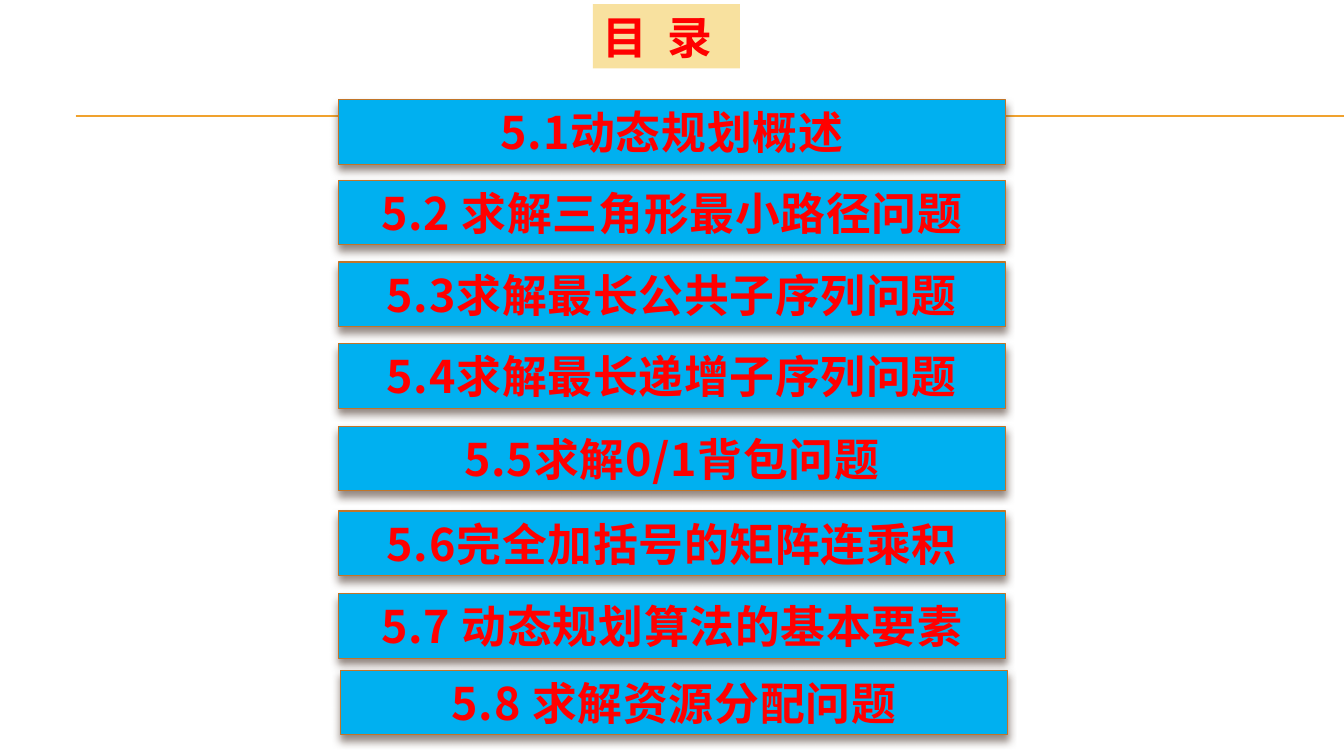
from lxml import etree
from pptx import Presentation
from pptx.dml.color import RGBColor
from pptx.enum.shapes import MSO_CONNECTOR, MSO_SHAPE
from pptx.enum.text import MSO_ANCHOR, PP_ALIGN
from pptx.oxml import parse_xml
from pptx.oxml.ns import nsdecls, qn
from pptx.util import Inches, Pt

STRAIGHT = MSO_CONNECTOR.STRAIGHT
RECTANGLE = MSO_SHAPE.RECTANGLE
MIDDLE = MSO_ANCHOR.MIDDLE
LEFT, CENTER = PP_ALIGN.LEFT, PP_ALIGN.CENTER
CJK_FONT = "Noto Sans CJK SC"
BOX_HEIGHT = 0.64
SHADOW = f"""<a:effectLst {nsdecls("a")}>
  <a:outerShdw blurRad="{Pt(6)}" dist="{Pt(4)}" dir="5400000" rotWithShape="0">
    <a:srgbClr val="4E3B30"><a:alpha val="60000"/></a:srgbClr>
  </a:outerShdw>
</a:effectLst>"""


def color(hex_value):
    return RGBColor.from_string(hex_value)


def add_box(left, top, width, text, fill, font_name, align):
    """Add a filled rectangle holding one line of bold red text."""
    box = slide.shapes.add_shape(
        RECTANGLE, Inches(left), Inches(top), Inches(width), Inches(BOX_HEIGHT))
    box.shadow.inherit = False
    box.fill.solid()
    box.fill.fore_color.rgb = color(fill)
    box.line.fill.background()
    frame = box.text_frame
    frame_format = {"word_wrap": False, "vertical_anchor": MIDDLE,
                    "margin_top": 0, "margin_bottom": 0}
    for name, value in frame_format.items():
        setattr(frame, name, value)
    para = frame.paragraphs[0]
    para.alignment = align
    span = para.add_run()
    span.text = text
    for name, value in {"name": font_name, "size": Pt(32), "bold": True}.items():
        setattr(span.font, name, value)
    span.font.color.rgb = color("FF0000")
    properties = span._r.get_or_add_rPr()
    etree.SubElement(properties, qn("a:ea")).set("typeface", CJK_FONT)
    return box


deck = Presentation()
deck.slide_width, deck.slide_height = Inches(13.33), Inches(7.5)
slide = deck.slides.add_slide(deck.slide_layouts[6])

for y in (1.15, 1.16):
    rule = slide.shapes.add_connector(
        STRAIGHT, Inches(0.75), Inches(y), Inches(13.33), Inches(y))
    rule.line.color.rgb = color("F0A22E")
    rule.line.width = Pt(0.75)
    etree.SubElement(rule._element.spPr, qn("a:effectLst"))

add_box(5.88, 0.04, 1.46, "目  录", "F8E19F", "Calibri", LEFT)

sections = [
    (3.36, 0.99, "5.1动态规划概述"),
    (3.36, 1.79, "5.2 求解三角形最小路径问题"),
    (3.36, 2.6, "5.3求解最长公共子序列问题"),
    (3.36, 3.41, "5.4求解最长递增子序列问题"),
    (3.36, 4.23, "5.5求解0/1背包问题"),
    (3.36, 5.07, "5.6完全加括号的矩阵连乘积"),
    (3.36, 5.89, "5.7 动态规划算法的基本要素"),
    (3.38, 6.65, "5.8 求解资源分配问题"),
]
for left, top, heading in sections:
    bar = add_box(left, top, 6.61, heading, "00B0F0", CJK_FONT, CENTER)
    bar.line.color.rgb = color("C17529")
    bar.line.width = Pt(0.79)
    bar_properties = bar._element.spPr
    bar_properties.replace(bar_properties.find(qn("a:effectLst")), parse_xml(SHADOW))
    bar.text_frame.paragraphs[0].runs[0]._r.rPr.set("spc", "50")

deck.save("out.pptx")
